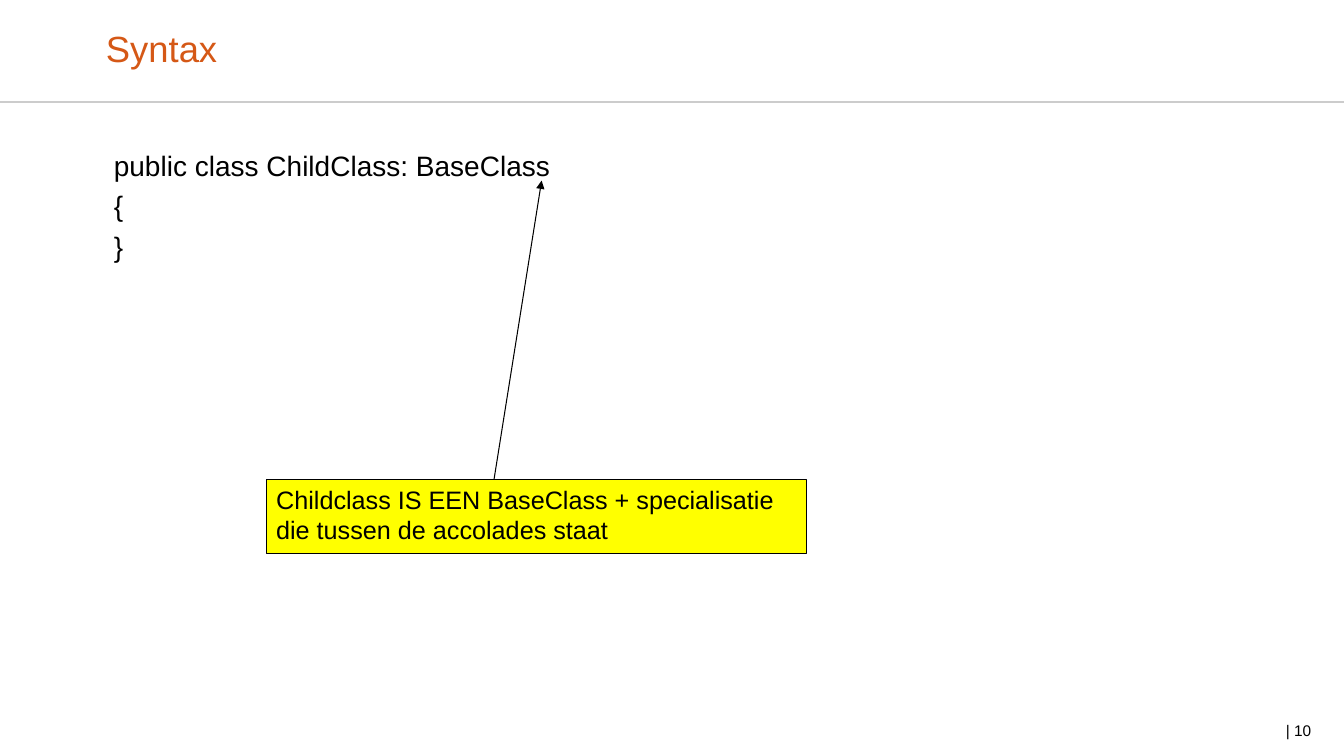
from dataclasses import dataclass

from lxml import etree
from pptx import Presentation
from pptx.dml.color import RGBColor
from pptx.enum.shapes import MSO_CONNECTOR, MSO_SHAPE
from pptx.enum.text import MSO_ANCHOR as Anchor, MSO_AUTO_SIZE, PP_ALIGN as Align
from pptx.oxml.ns import qn
from pptx.shapes.autoshape import Shape
from pptx.slide import Slide
from pptx.util import Cm, Pt

BLACK = RGBColor(0x00, 0x00, 0x00)
ORANGE = RGBColor(0xD5, 0x58, 0x16)
YELLOW = RGBColor(0xFF, 0xFF, 0x00)
GREY = RGBColor(0xCC, 0xCC, 0xCC)
FONT = "Arial"


@dataclass(frozen=True)
class Label:
    text: str
    left: float
    top: float
    width: float
    height: float
    size: float
    color: RGBColor = BLACK
    anchor: Anchor = Anchor.TOP
    align: Align = Align.LEFT
    space_before: float = 0
    line_spacing: float = 1.0
    margin_x: float = 0
    margin_y: float = 0


@dataclass(frozen=True)
class Line:
    x1: float
    y1: float
    x2: float
    y2: float
    color: RGBColor
    width: float
    arrow: bool = False


TITLE = Label("Syntax", 2.67, 0, 28.52, 2.57, 26, ORANGE, Anchor.MIDDLE,
              line_spacing=0.9)
CODE = Label("public class ChildClass: BaseClass\n{\n}", 2.87, 3.74, 30.2, 13.6, 20,
             space_before=4.8)
PAGE = Label("| 10", 24.13, 17.98, 8.92, 0.86, 11, anchor=Anchor.MIDDLE,
             align=Align.RIGHT)
NOTE = Label("Childclass IS EEN BaseClass + specialisatie die tussen de accolades staat",
             6.71, 12.08, 13.61, 1.86, 18, margin_x=0.25, margin_y=0.13)
RULE = Line(0, 2.57, 33.87, 2.57, GREY, 1)
POINTER = Line(12.45, 12.08, 13.65, 4.55, BLACK, 0.75, arrow=True)


def write_label(sp: Shape, label: Label) -> None:
    sp.left, sp.top = Cm(label.left), Cm(label.top)
    sp.width, sp.height = Cm(label.width), Cm(label.height)
    tf = sp.text_frame
    tf.text = label.text
    tf.word_wrap = True
    tf.auto_size = MSO_AUTO_SIZE.NONE
    tf.vertical_anchor = label.anchor
    tf.margin_left = tf.margin_right = Cm(label.margin_x)
    tf.margin_top = tf.margin_bottom = Cm(label.margin_y)
    for i, p in enumerate(tf.paragraphs):
        p.alignment = label.align
        p.line_spacing = label.line_spacing
        p.space_before = Pt(label.space_before if i else 0)
        for r in p.runs:
            r.font.name = FONT
            r.font.size = Pt(label.size)
            r.font.color.rgb = label.color


def add_text(slide: Slide, label: Label) -> None:
    write_label(slide.shapes.add_textbox(0, 0, 0, 0), label)


def add_note(slide: Slide, label: Label) -> None:
    sp = slide.shapes.add_shape(MSO_SHAPE.RECTANGLE, 0, 0, 0, 0)
    sp.shadow.inherit = False
    sp.fill.solid()
    sp.fill.fore_color.rgb = YELLOW
    sp.line.color.rgb = BLACK
    sp.line.width = Pt(0.75)
    write_label(sp, label)


def add_line(slide: Slide, line: Line) -> None:
    cxn = slide.shapes.add_connector(MSO_CONNECTOR.STRAIGHT, Cm(line.x1), Cm(line.y1),
                                     Cm(line.x2), Cm(line.y2))
    cxn.line.color.rgb = line.color
    cxn.line.width = Pt(line.width)
    if line.arrow:
        etree.SubElement(cxn.line._get_or_add_ln(), qn("a:tailEnd"), type="triangle")
    etree.SubElement(cxn._element.spPr, qn("a:effectLst"))


def main() -> None:
    prs = Presentation()
    prs.slide_width, prs.slide_height = Cm(33.87), Cm(19.05)
    slide = prs.slides.add_slide(prs.slide_layouts[5])
    add_line(slide, RULE)
    write_label(slide.shapes.title, TITLE)
    add_text(slide, CODE)
    add_text(slide, PAGE)
    add_note(slide, NOTE)
    add_line(slide, POINTER)
    prs.save("out.pptx")


if __name__ == "__main__":
    main()
